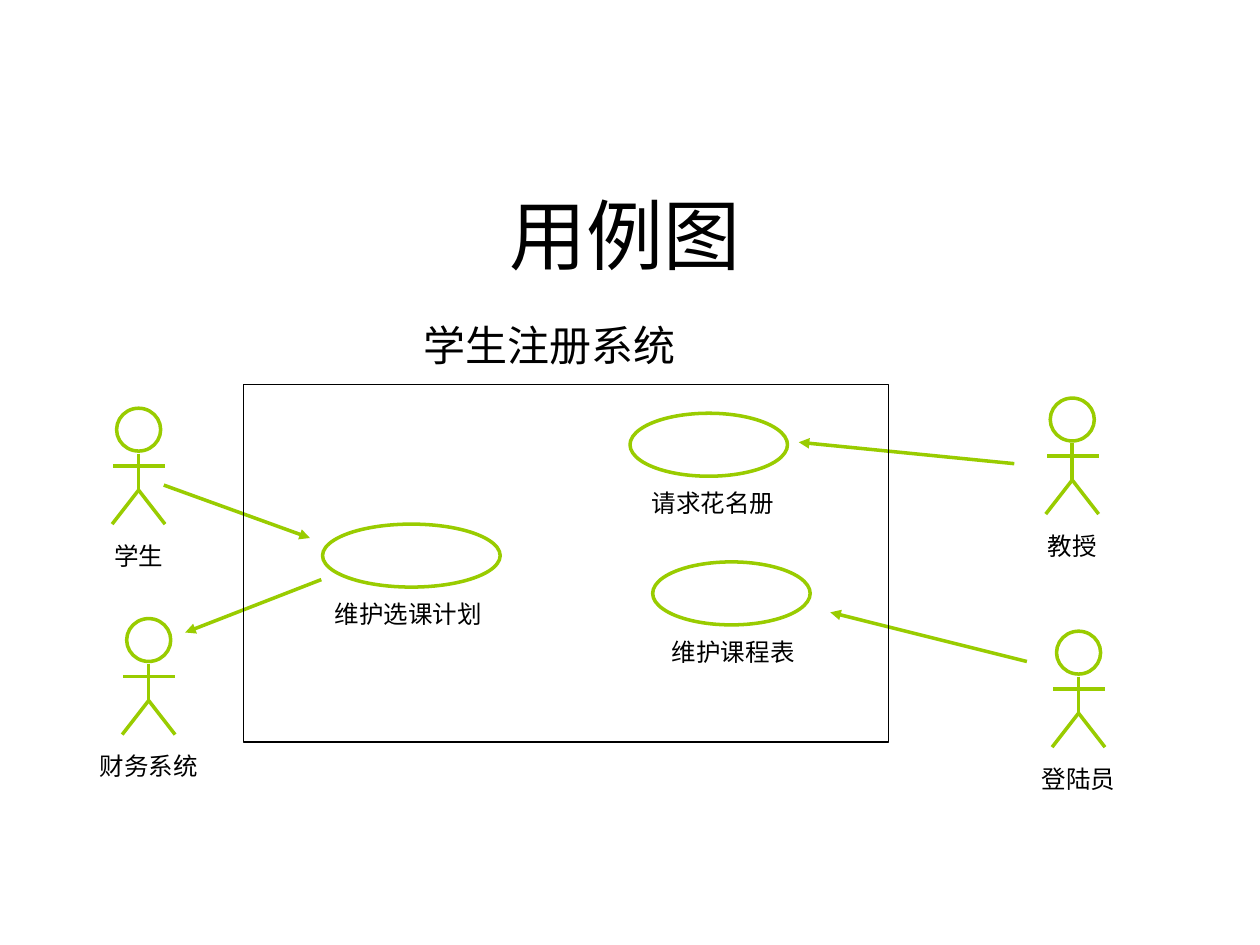
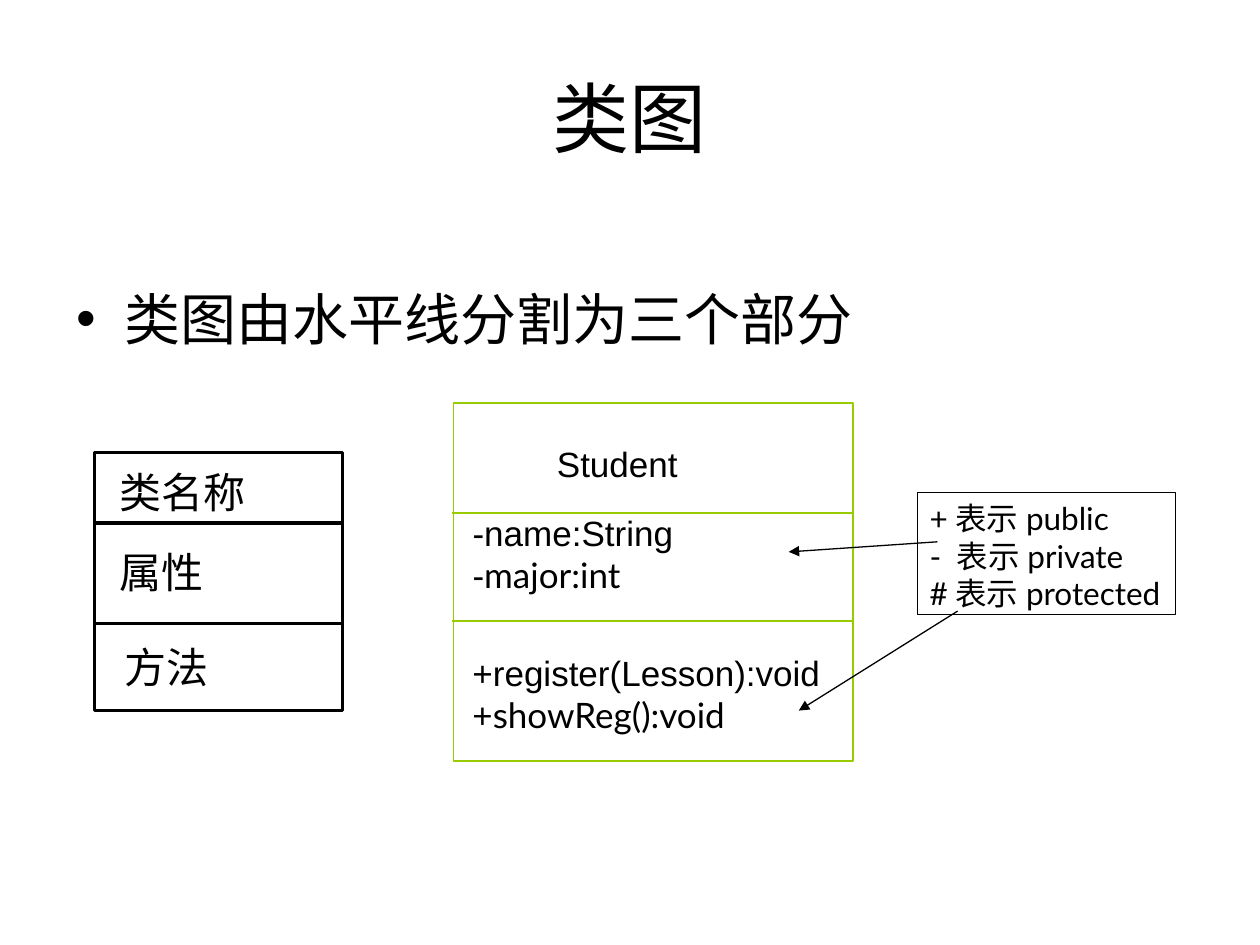
from lxml import etree
from pptx import Presentation
from pptx.dml.color import RGBColor
from pptx.enum.shapes import MSO_CONNECTOR, MSO_SHAPE
from pptx.enum.text import MSO_ANCHOR, MSO_AUTO_SIZE, PP_ALIGN
from pptx.oxml.ns import qn
from pptx.util import Inches, Pt

LEFT, CENTER = PP_ALIGN.LEFT, PP_ALIGN.CENTER
TOP, MIDDLE = MSO_ANCHOR.TOP, MSO_ANCHOR.MIDDLE
RECTANGLE, OVAL = MSO_SHAPE.RECTANGLE, MSO_SHAPE.OVAL
STRAIGHT = MSO_CONNECTOR.STRAIGHT
NO_AUTOFIT = MSO_AUTO_SIZE.NONE

COLORS = {"ink": "000000", "accent": "99CC00", "paper": "FFFFFF"}
ARIAL, LATO, TIMES = "Arial", "Lato", "Times New Roman"
PADDING = (0.1, 0.05)
TITLE_ONLY = 5


def color(name):
    return RGBColor.from_string(COLORS[name])


class Sketch:
    """Holds the deck, the current page and the shapes being drawn into."""

    def __init__(self):
        self.deck = Presentation()
        self.deck.slide_width = Inches(10)
        self.deck.slide_height = Inches(7.5)

    def new_page(self, title, place, anchor, padding):
        self.page = self.deck.slides.add_slide(self.deck.slide_layouts[TITLE_ONLY])
        self.shapes = self.page.shapes
        box = self.page.shapes.title
        box.left, box.top, box.width, box.height = map(Inches, place)
        self.fill_text(box, [title], 44, ARIAL, CENTER, anchor, padding)

    def start_group(self):
        self.shapes = self.page.shapes.add_group_shape().shapes

    def end_group(self):
        self.shapes = self.page.shapes

    def fill_text(self, box, lines, size, font, align=LEFT, anchor=TOP,
                  padding=PADDING, wrap=True):
        """Each line is a string, or a list of (text, font) spans."""
        frame = box.text_frame
        frame.auto_size = NO_AUTOFIT
        frame.word_wrap = wrap
        frame.vertical_anchor = anchor
        frame.margin_left = frame.margin_right = Inches(padding[0])
        frame.margin_top = frame.margin_bottom = Inches(padding[1])
        for index, line in enumerate(lines):
            para = frame.paragraphs[0] if index == 0 else frame.add_paragraph()
            para.alignment = align
            spans = [(line, font)] if isinstance(line, str) else line
            for text, span_font in spans:
                span = para.add_run()
                span.text = text
                span.font.size = Pt(size)
                span.font.name = span_font
                span.font.color.rgb = color("ink")

    def text(self, place, lines, size, font, **options):
        box = self.shapes.add_textbox(*map(Inches, place))
        self.fill_text(box, lines, size, font, **options)
        return box

    def bullet(self, place, line, size, font):
        box = self.text(place, [line], size, font)
        properties = box.text_frame.paragraphs[0]._p.get_or_add_pPr()
        properties.set("marL", str(Inches(0.38)))
        properties.set("indent", str(-Inches(0.38)))
        etree.SubElement(properties, qn("a:buFont")).set("typeface", ARIAL)
        etree.SubElement(properties, qn("a:buChar")).set("char", "•")

    def caption(self, center, top, text):
        width = 0.2 * len(text) + 0.19
        self.text((center - width / 2, top, width, 0.32), [text], 14, ARIAL,
                  align=CENTER, anchor=MIDDLE, wrap=False)

    def outline(self, kind, place, line, width, fill=None):
        shape = self.shapes.add_shape(kind, *map(Inches, place))
        shape.shadow.inherit = False
        if fill:
            shape.fill.solid()
            shape.fill.fore_color.rgb = color(fill)
        else:
            shape.fill.background()
        shape.line.color.rgb = color(line)
        shape.line.width = Pt(width)
        return shape

    def line(self, start, end, ink, width, arrow=False):
        link = self.shapes.add_connector(STRAIGHT, *map(Inches, (*start, *end)))
        link.line.color.rgb = color(ink)
        link.line.width = Pt(width)
        properties = link._element.spPr
        if arrow:
            etree.SubElement(properties.find(qn("a:ln")), qn("a:tailEnd")).set("type", "triangle")
        etree.SubElement(properties, qn("a:effectLst"))

    def actor(self, center, top, name):
        self.start_group()
        self.outline(OVAL, (center - 0.175, top, 0.35, 0.34), "accent", 2)
        hip = (center, top + 0.65)
        limbs = [
            (hip, (center - 0.21, top + 0.92)),
            (hip, (center + 0.21, top + 0.92)),
            ((center, top + 0.36), hip),
            ((center - 0.2, top + 0.46), (center + 0.21, top + 0.46)),
        ]
        for start, end in limbs:
            self.line(start, end, "accent", 2)
        self.caption(center, top + 1.01, name)
        self.end_group()

    def use_case(self, left, top, width, name, name_center):
        self.outline(OVAL, (left, top, width, 0.5), "accent", 2)
        self.caption(name_center, top + 0.55, name)

    def class_box(self, place, dividers, ink, width, fill=None, overhang=0):
        """Draw a class frame cut by horizontal lines at the divider heights."""
        self.outline(RECTANGLE, place, ink, width, fill)
        left, right = place[0] - overhang, place[0] + place[2] + overhang
        for height in dividers:
            self.line((left, height), (right, height), ink, width)


def use_case_page(sketch):
    sketch.new_page("用例图", (0.7, 1.47, 8.52, 0.77), TOP, (0.06, 0.02))
    for center, top, name in [(1.1, 3.24, "学生"), (8.56, 5.01, "登陆员"),
                              (8.51, 3.16, "教授"), (1.18, 4.91, "财务系统")]:
        sketch.actor(center, top, name)
    sketch.use_case(2.56, 4.16, 1.41, "维护选课计划", 3.24)
    sketch.use_case(5.18, 4.46, 1.25, "维护课程表", 5.82)
    sketch.use_case(5, 3.28, 1.25, "请求花名册", 5.66)
    for start, end in [((8.05, 3.68), (6.34, 3.51)), ((1.3, 3.85), (2.46, 4.27)),
                       ((2.55, 4.6), (1.47, 5.02)), ((8.15, 5.25), (6.59, 4.86))]:
        sketch.line(start, end, "accent", 2, arrow=True)
    sketch.outline(RECTANGLE, (1.93, 3.05, 5.12, 2.84), "ink", 0.75)
    sketch.text((2.16, 2.49, 4.41, 0.49), ["学生注册系统"], 24, LATO, align=CENTER)


def class_page(sketch):
    sketch.new_page("类图", (0.5, 0.3, 9, 1.25), MIDDLE, PADDING)
    sketch.bullet((0.51, 2.21, 9.28, 0.7), "类图由水平线分割为三个部分", 32, ARIAL)

    sketch.start_group()
    sketch.class_box((0.75, 3.59, 1.97, 2.05), (4.15, 4.95), "ink", 1.88, fill="paper")
    for left, top, part in [(0.95, 3.7, "类名称"), (0.95, 4.34, "属性"), (0.99, 5.09, "方法")]:
        sketch.text((left, top, 0.34 * len(part), 0.39), [part], 24, TIMES,
                    padding=(0, 0), wrap=False)

    sketch.start_group()
    sketch.class_box((3.6, 3.2, 3.17, 2.84), (4.07, 4.93), "accent", 1, overhang=0.01)
    attributes = ["-name:String", [("-", ARIAL), ("major:int", LATO)]]
    methods = ["+register(Lesson):void", [("+showReg():void", LATO)]]
    for place, lines in [((4.42, 3.51, 0.99, 0.33), ["Student"]),
                         ((3.75, 4.06, 1.88, 0.67), attributes),
                         ((3.75, 5.17, 2.93, 0.67), methods)]:
        sketch.text(place, lines, 20, ARIAL, padding=(0, 0))
    sketch.end_group()

    legend = sketch.outline(RECTANGLE, (7.28, 3.91, 2.05, 0.97), "ink", 0.75)
    sketch.fill_text(legend, ["+表示public", "- 表示private", "#表示protected"], 18, LATO)
    sketch.line((7.44, 4.3), (6.26, 4.38), "ink", 0.75, arrow=True)
    sketch.line((7.6, 4.85), (6.34, 5.64), "ink", 0.75, arrow=True)


def main():
    sketch = Sketch()
    use_case_page(sketch)
    class_page(sketch)
    sketch.deck.save("out.pptx")


if __name__ == "__main__":
    main()
